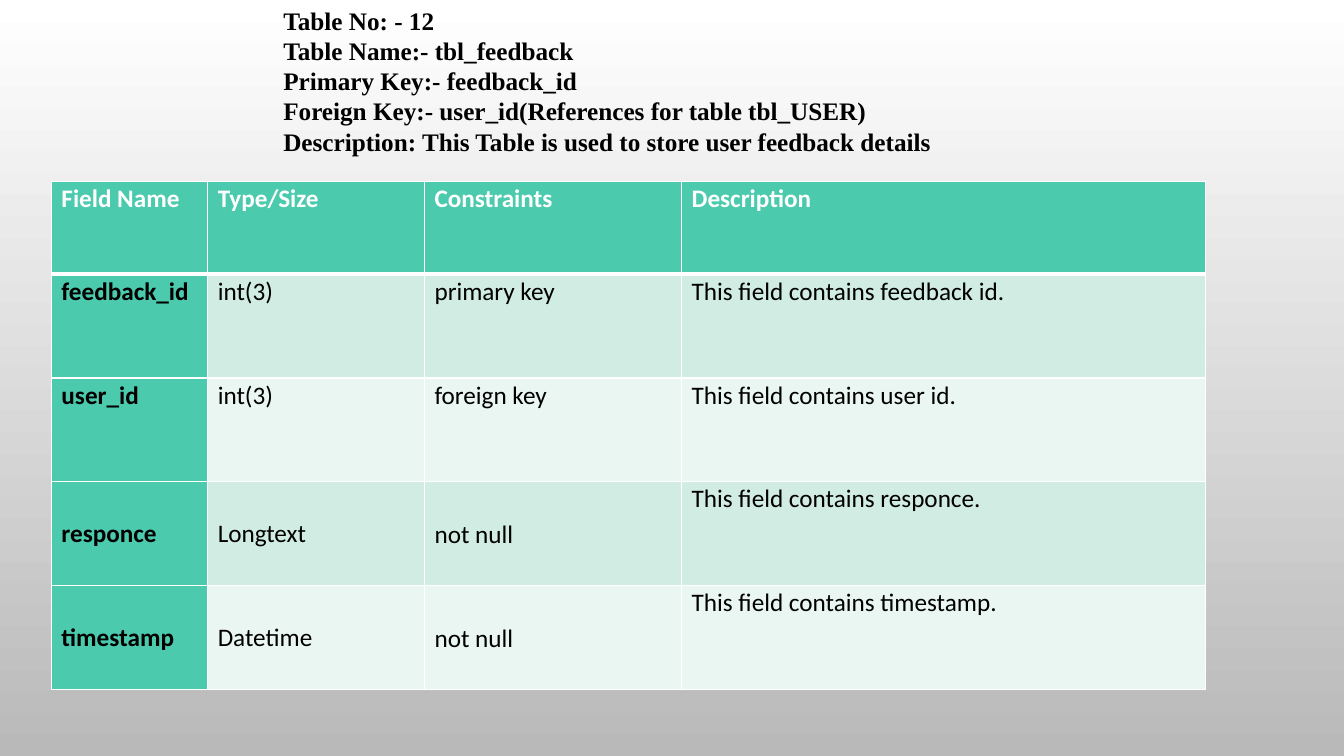
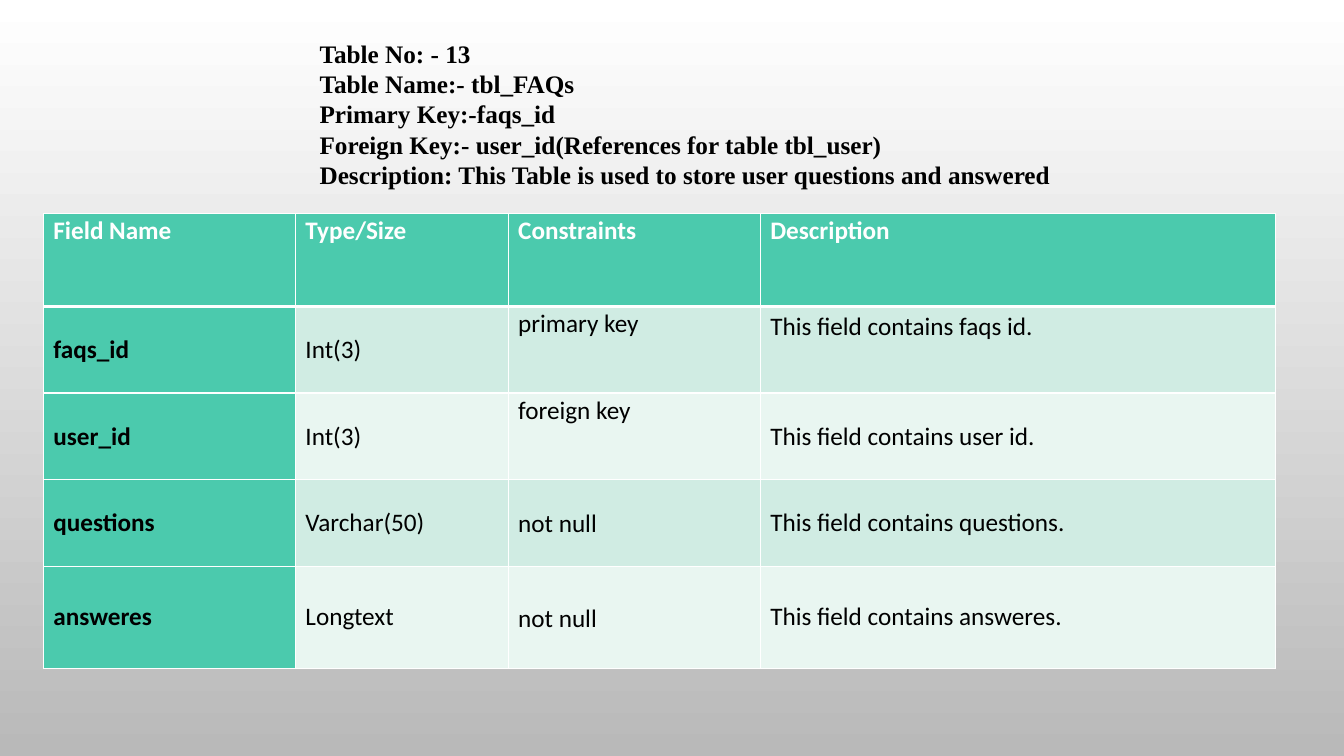
import dataclasses
import pptx
import pptx.util
import pptx.dml.color
import pptx.enum.text
import pptx.oxml
import pptx.oxml.ns

Inches, Pt = pptx.util.Inches, pptx.util.Pt
RGB = pptx.dml.color.RGBColor.from_string
ANCHOR = pptx.enum.text.MSO_ANCHOR


@dataclasses.dataclass(frozen=True)
class Theme:
    """Colours, fonts and sizes shared by the slides."""
    white: str = "FFFFFF"
    black: str = "000000"
    grey: str = "B9B9B9"
    accent: str = "4BCAAD"
    bands: tuple = ("D0ECE3", "E9F6F1")
    title_font: str = "Times New Roman"
    body_font: str = "Calibri"
    size: int = 18
    rule: int = 1
    header_rule: int = 3


@dataclasses.dataclass(frozen=True)
class CellStyle:
    """Vertical placing and spacing of the text in a cell."""
    anchor: object
    inset: float
    spaced: bool


T = Theme()
STYLES = {
    "t": CellStyle(ANCHOR.TOP, 0, True),
    "p": CellStyle(ANCHOR.TOP, 0.05, False),
    "m": CellStyle(ANCHOR.MIDDLE, 0.05, False),
    "s": CellStyle(ANCHOR.MIDDLE, 0.05, True),
}
HEADER = ("tttt", "Field Name", "Type/Size", "Constraints", "Description")

SLIDES = [
    {
        "title_box": (2.71, 0, 8.69, 1.62),
        "title": ["Table No: - 12",
                  "Table Name:- tbl_feedback",
                  "Primary Key:- feedback_id",
                  "Foreign Key:- user_id(References for table tbl_USER)",
                  "Description: This Table is used to store user feedback details"],
        "origin": (0.51, 1.8),
        "cols": (1.55, 2.15, 2.55, 5.2),
        "heights": (0.92, 1.03, 1.03, 1.03, 1.03),
        "rows": [
            ("tttt", "feedback_id", "int(3)", "primary key", "This field contains feedback id."),
            ("tttt", "user_id", "int(3)", "foreign key", "This field contains user id."),
            ("mmst", "responce", "Longtext", "not null", "This field contains responce."),
            ("mmst", "timestamp", "Datetime", "not null", "This field contains timestamp."),
        ],
    },
    {
        "title_box": (3.07, 0.33, 9.29, 1.92),
        "title": ["Table No: - 13",
                  "Table Name:- tbl_FAQs",
                  "Primary Key:-faqs_id",
                  "Foreign Key:- user_id(References for table tbl_user)",
                  "Description: This Table is used to store user questions and answered"],
        "origin": (0.43, 2.12),
        "cols": (2.5, 2.11, 2.5, 5.11),
        "heights": (0.92, 0.86, 0.86, 0.86, 1.01),
        "rows": [
            ("mmtp", "faqs_id", "Int(3)", "primary key", "This field contains faqs id."),
            ("mmtm", "user_id", "Int(3)", "foreign key", "This field contains user id."),
            ("mmsm", "questions", "Varchar(50)", "not null", "This field contains questions."),
            ("mmsm", "answeres", "Longtext", "not null", "This field contains answeres."),
        ],
    },
]


def add_run(p, text, font, color, bold):
    """Add one formatted run to a paragraph."""
    r = p.add_run()
    r.text = text
    r.font.name, r.font.size, r.font.bold = font, Pt(T.size), bold
    r.font.color.rgb = RGB(color)


def set_background(master):
    """Give every slide the white to grey gradient."""
    fill = master.background.fill
    fill.gradient()
    fill.gradient_angle = 270
    for stop, color, position in zip(fill.gradient_stops, (T.white, T.grey), (0, 1)):
        stop.color.rgb = RGB(color)
        stop.position = position


def add_title(s, box, lines):
    """Place the table facts in the title placeholder."""
    sp = s.shapes.title
    sp.left, sp.top, sp.width, sp.height = map(Inches, box)
    tf = sp.text_frame
    tf.word_wrap = True
    tf.auto_size = pptx.enum.text.MSO_AUTO_SIZE.NONE
    tf.vertical_anchor = ANCHOR.TOP
    for i, line in enumerate(lines):
        p = tf.add_paragraph() if i else tf.paragraphs[0]
        p.alignment = pptx.enum.text.PP_ALIGN.LEFT
        add_run(p, line, T.title_font, T.black, True)


def set_borders(cell, top, bottom):
    """Draw white rules round a cell."""
    tcPr = cell._tc.get_or_add_tcPr()
    widths = {"L": T.rule, "R": T.rule, "T": top, "B": bottom}
    for i, (side, width) in enumerate(widths.items()):
        tcPr.insert(i, pptx.oxml.parse_xml(
            f'<a:ln{side} {pptx.oxml.ns.nsdecls("a")} w="{Pt(width)}">'
            f'<a:solidFill><a:srgbClr val="{T.white}"/></a:solidFill></a:ln{side}>'))


def fill_cell(cell, text, style, row, col):
    """Write and colour one cell by its place in the table."""
    header = row == 0
    cell.fill.solid()
    cell.fill.fore_color.rgb = RGB(T.accent if header or col == 0 else T.bands[(row - 1) % 2])
    set_borders(cell, T.header_rule if row == 1 else T.rule,
                T.header_rule if header else T.rule)
    cell.vertical_anchor = style.anchor
    cell.margin_top = cell.margin_bottom = Inches(style.inset)
    p = cell.text_frame.paragraphs[0]
    if style.spaced:
        p.line_spacing, p.space_after = 1.07, Pt(8)
    add_run(p, text, T.body_font, T.white if header else T.black, header or col == 0)


def add_field_table(s, origin, cols, heights, rows):
    """Add the table of fields with its header row."""
    box = (*origin, sum(cols), sum(heights))
    table = s.shapes.add_table(len(heights), len(cols), *map(Inches, box)).table
    for column, width in zip(table.columns, cols):
        column.width = Inches(width)
    for i, (height, (codes, *texts)) in enumerate(zip(heights, [HEADER, *rows])):
        table.rows[i].height = Inches(height)
        for j, (code, text) in enumerate(zip(codes, texts)):
            fill_cell(table.cell(i, j), text, STYLES[code], i, j)


def main():
    """Build the deck."""
    prs = pptx.Presentation()
    prs.slide_width, prs.slide_height = Inches(13.33), Inches(7.5)
    set_background(prs.slide_master)
    for data in SLIDES:
        s = prs.slides.add_slide(prs.slide_layouts.get_by_name("Title Only"))
        add_title(s, data["title_box"], data["title"])
        add_field_table(s, data["origin"], data["cols"], data["heights"], data["rows"])
    prs.save("out.pptx")


if __name__ == "__main__":
    main()
